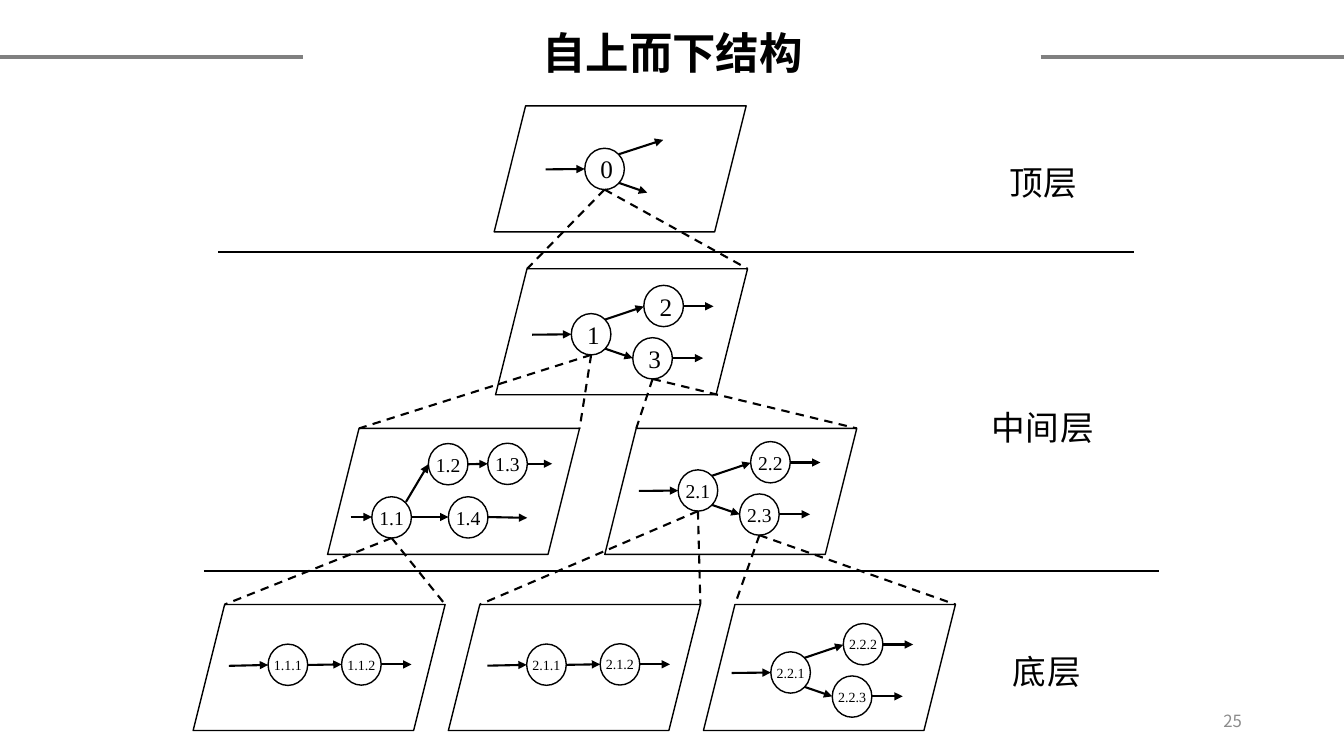
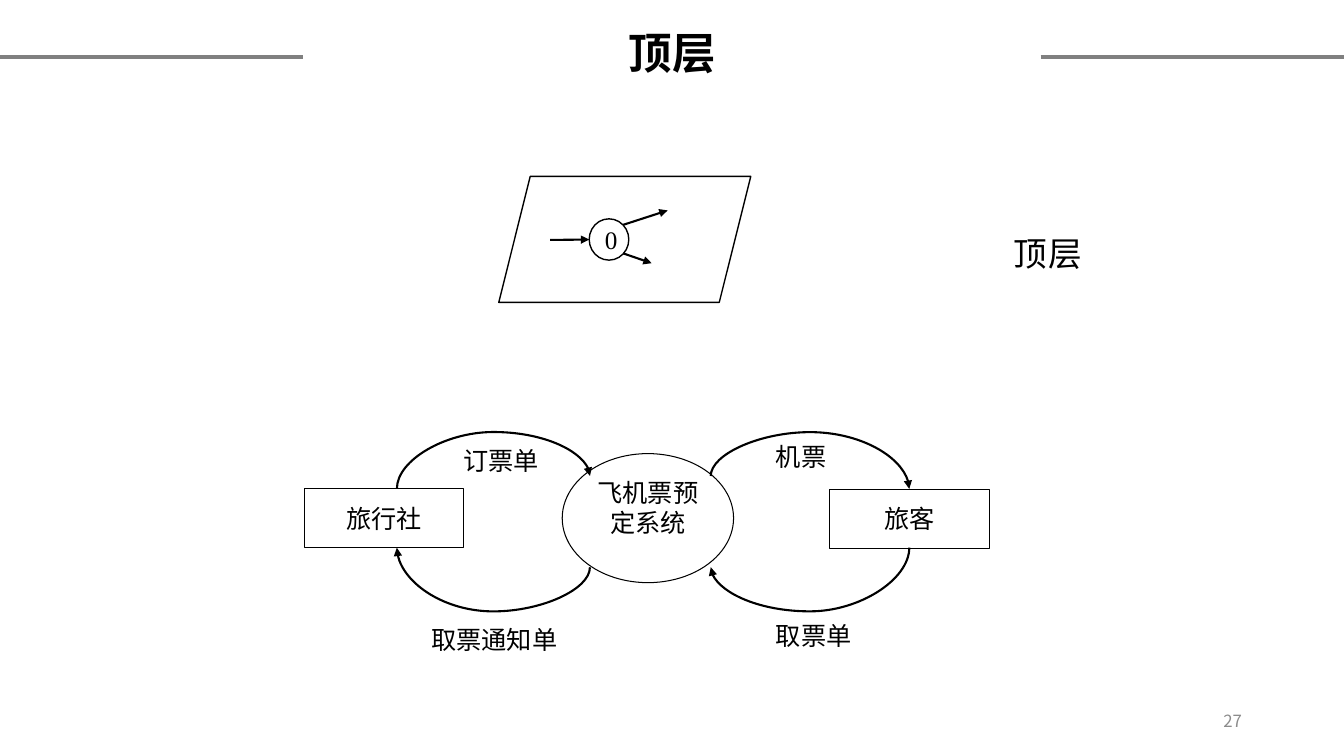
from math import copysign

from lxml.etree import SubElement
from pptx import Presentation
from pptx.dml.color import RGBColor
from pptx.enum.dml import MSO_LINE
from pptx.enum.shapes import MSO_CONNECTOR, MSO_SHAPE
from pptx.enum.text import MSO_ANCHOR, MSO_AUTO_SIZE, PP_ALIGN
from pptx.oxml.ns import qn
from pptx.util import Pt

BLACK = RGBColor(0, 0, 0)
WHITE = RGBColor(255, 255, 255)
BAND_GRAY = RGBColor(0x80, 0x80, 0x80)
NUMBER_GRAY = RGBColor(0x8C, 0x8C, 0x8C)
CJK, LATIN, DIGITS = "Noto Sans CJK SC", "Arial", "Times New Roman"

SLIDE_W, SLIDE_H = 960, 540
PANEL_W, PANEL_H, PANEL_SKEW = 180, 90, 22.5
NODE_W, NODE_H = 28.3, 29.5
BAND_Y, BAND_W = 41, 216.7
TITLE_BOX = (92.9, -4.3, 774.7, 87.8)
NUMBER_BOX = (678.2, 500.4, 216, 28.8)

# Node corners and flows, both measured from the corner of the first node.
MOTIFS = {
    "top": {
        "nodes": [(0, 0)],
        "flows": [(-28, 15.1, 0, 14.8), (24.3, 4.3, 56, -6), (24.3, 24.7, 44.6, 31.7)],
    },
    "fork": {
        "nodes": [(0, 0), (51.8, -20.2), (43.9, 17.2)],
        "flows": [
            (-28, 15.1, 0, 14.8), (24, 4.3, 51.8, -5), (24, 25, 43.9, 31.8),
            (80, -5.2, 101.6, -5.2), (72.2, 31.8, 94.2, 31.8),
        ],
    },
    "chain": {
        "nodes": [(0, 0), (52.5, -0.2)],
        "flows": [(-28, 15.5, 0, 14.9), (28.3, 14.9, 52.5, 14.5), (80.8, 14.5, 102.4, 14.5)],
    },
    "branch": {
        "nodes": [(0, 0), (40.4, -38), (82.8, -38.2), (54.7, 0)],
        "flows": [
            (-15.1, 14.5, 0, 14.5), (24.4, 3.7, 40.4, -23.2), (28.3, 14.5, 54.7, 14.5),
            (68.8, -23.2, 82.8, -23.5), (83, 14.5, 111, 15.1), (111, -23.5, 128.8, -23.5),
        ],
    },
}

# Panel corner, first node corner, motif, node labels, label size, parent node
PANELS = [
    ((353, 75.6), (417.7, 105.9), "top", ["0"], 18, None),
    ((354, 192), (408.1, 224), "fork", ["1", "2", "3"], 18, "0"),
    ((234, 306), (265.6, 354.8), "branch", ["1.1", "1.2", "1.3", "1.4"], 14, "1"),
    ((432, 306), (484.4, 335.6), "fork", ["2.1", "2.2", "2.3"], 14, "3"),
    ((138, 431.8), (191.5, 460.1), "chain", ["1.1.1", "1.1.2"], 10, "1.1"),
    ((320.3, 431.8), (376.2, 460), "chain", ["2.1.1", "2.1.2"], 10, "2.1"),
    ((502.5, 431.8), (550.6, 465.6), "fork", ["2.2.1", "2.2.2", "2.2.3"], 10, "2.3"),
]
TOP_PANEL = ((356.3, 126), (420.9, 156.3), "top", ["0"], 18, None)

LEVELS = [("顶层", 714.2, 97.9, 64), ("中间层", 701.3, 272.9, 88.6), ("底层", 716.4, 447.1, 64)]
TOP_LEVEL = ("顶层", 717.1, 148.3, 64)
LEVEL_RULES = [(156, 180, 810, 180), (145.6, 408, 828, 408)]

PARTIES = [("旅行社", 217.4, 349), ("旅客", 592.6, 349.6)]
SYSTEM = ("飞机票预定系统", (401.6, 324, 122.4, 92.2))
DOCUMENTS = [
    ("订票单", 324, 314.6, 69), ("取票通知单", 301, 442.2, 105),
    ("机票", 547.2, 311.8, 51), ("取票单", 547.2, 439.2, 69),
]
# Start, end, crest height, turn
ARCS = [
    ((283.5, 349), (421.4, 340), 308.7, 90),
    ((507.7, 340), (649.5, 349.2), 308.7, 270),
    ((421.4, 405.2), (283.5, 391.2), 436.7, 90),
    ((649.5, 391.2), (507.7, 405.2), 436.7, 90),
]


def assign(target, values):
    for name, value in values.items():
        setattr(target, name, value)


def write(shape, text, size, font=CJK, color=BLACK, bold=False, spacing=None,
          frame=None, paragraph=None):
    assign(shape.text_frame, {"word_wrap": True, **(frame or {})})
    line = shape.text_frame.paragraphs[0]
    assign(line, paragraph or {})
    run = line.add_run()
    run.text = text
    assign(run.font, {"size": Pt(size), "name": font, "bold": bold})
    run.font.color.rgb = color
    properties = run.font._element
    SubElement(properties, qn("a:ea")).set("typeface", CJK)
    if spacing:
        properties.set("spc", str(spacing))


def place_text(slide, box, text, size, **style):
    write(slide.shapes.add_textbox(*map(Pt, box)), text, size, **style)


def place_shape(slide, preset, box, weight, filled=True):
    shape = slide.shapes.add_shape(preset, *map(Pt, box))
    shape.shadow.inherit = False
    if filled:
        shape.fill.solid()
        shape.fill.fore_color.rgb = WHITE
    else:
        shape.fill.background()
    shape.line.color.rgb = BLACK
    shape.line.width = Pt(weight)
    return shape


def connect(slide, ends, weight=1.5, color=BLACK, arrow=False, dash=None,
            preset=MSO_CONNECTOR.STRAIGHT):
    connector = slide.shapes.add_connector(preset, *map(Pt, ends))
    connector.line.color.rgb = color
    assign(connector.line, {"width": Pt(weight), "dash_style": dash})
    properties = connector._element.spPr
    if arrow:
        SubElement(properties.find(qn("a:ln")), qn("a:tailEnd")).set("type", "triangle")
    SubElement(properties, qn("a:effectLst"))
    return connector


def place_arc(slide, start, end, crest, turn):
    middle_x, middle_y = (start[0] + end[0]) / 2, (start[1] + end[1]) / 2
    side = copysign(1, 180 - turn)
    ends = []
    for x, y in (start, end):
        ends += [middle_x + side * (y - middle_y), middle_y - side * (x - middle_x)]
    arc = connect(slide, ends, arrow=True, preset=MSO_CONNECTOR.CURVE)
    properties = arc._element.spPr
    properties.find(qn("a:xfrm")).set("rot", str(turn * 60000))
    bend = round((crest - start[1]) / (end[1] - start[1]) * 100000)
    guide = SubElement(properties.find(qn("a:prstGeom")).find(qn("a:avLst")), qn("a:gd"))
    guide.set("name", "adj1")
    guide.set("fmla", f"val {bend}")


def place_panel(slide, corner, root, motif, labels, size, parent, feet):
    place_shape(slide, MSO_SHAPE.PARALLELOGRAM, (*corner, PANEL_W, PANEL_H), 1)
    frame = {"vertical_anchor": MSO_ANCHOR.MIDDLE}
    if size < 18:
        margins = ("margin_left", "margin_top", "margin_right", "margin_bottom")
        frame.update(dict.fromkeys(margins, 0), word_wrap=False)
    for label, (dx, dy) in zip(labels, MOTIFS[motif]["nodes"]):
        x, y = root[0] + dx, root[1] + dy
        node = place_shape(slide, MSO_SHAPE.FLOWCHART_CONNECTOR, (x, y, NODE_W, NODE_H), 1)
        write(node, label, size, DIGITS, frame=frame, paragraph={"alignment": PP_ALIGN.CENTER})
        feet[label] = (x + NODE_W / 2, y + NODE_H)
    for x1, y1, x2, y2 in MOTIFS[motif]["flows"]:
        connect(slide, (root[0] + x1, root[1] + y1, root[0] + x2, root[1] + y2), arrow=True)
    if parent:
        for reach in (PANEL_SKEW, PANEL_W):
            connect(slide, (*feet[parent], corner[0] + reach, corner[1]), dash=MSO_LINE.DASH)


def place_level(slide, text, x, y, width):
    place_text(slide, (x, y, width, 51), text, 24, font=LATIN, spacing=50,
               frame={"word_wrap": False, "auto_size": MSO_AUTO_SIZE.SHAPE_TO_FIT_TEXT},
               paragraph={"line_spacing": 1.5})


def start_slide(deck, title, number):
    slide = deck.slides.add_slide(deck.slide_layouts[6])
    middle = {"vertical_anchor": MSO_ANCHOR.MIDDLE}
    place_text(slide, NUMBER_BOX, number, 12, color=NUMBER_GRAY, frame=middle,
               paragraph={"alignment": PP_ALIGN.RIGHT})
    place_text(slide, TITLE_BOX, title, 31, bold=True, frame=middle,
               paragraph={"alignment": PP_ALIGN.CENTER, "line_spacing": 0.9,
                          "space_after": Pt(12)})
    for x in (0, SLIDE_W - BAND_W):
        connect(slide, (x, BAND_Y, x + BAND_W, BAND_Y), 3, BAND_GRAY)
    return slide


def build_structure(deck):
    slide = start_slide(deck, "自上而下结构", "25")
    feet = {}
    for panel in PANELS:
        place_panel(slide, *panel, feet)
    for rule in LEVEL_RULES:
        connect(slide, rule)
    for level in LEVELS:
        place_level(slide, *level)


def build_top_level(deck):
    slide = start_slide(deck, "顶层", "27")
    place_panel(slide, *TOP_PANEL, {})
    place_level(slide, *TOP_LEVEL)
    centered = {"alignment": PP_ALIGN.CENTER}
    for party, x, y in PARTIES:
        box = place_shape(slide, MSO_SHAPE.RECTANGLE, (x, y, 114, 42), 0.75)
        write(box, party, 18, frame={"vertical_anchor": MSO_ANCHOR.MIDDLE}, paragraph=centered)
    name, box = SYSTEM
    system = place_shape(slide, MSO_SHAPE.OVAL, box, 0.75, filled=False)
    write(system, name, 18, frame={"vertical_anchor": MSO_ANCHOR.TOP}, paragraph=centered)
    for arc in ARCS:
        place_arc(slide, *arc)
    for document, x, y, width in DOCUMENTS:
        place_text(slide, (x, y, width, 29), document, 18,
                   frame={"word_wrap": False, "auto_size": MSO_AUTO_SIZE.SHAPE_TO_FIT_TEXT})


def main():
    deck = Presentation()
    assign(deck, {"slide_width": Pt(SLIDE_W), "slide_height": Pt(SLIDE_H)})
    build_structure(deck)
    build_top_level(deck)
    deck.save("out.pptx")


if __name__ == "__main__":
    main()
